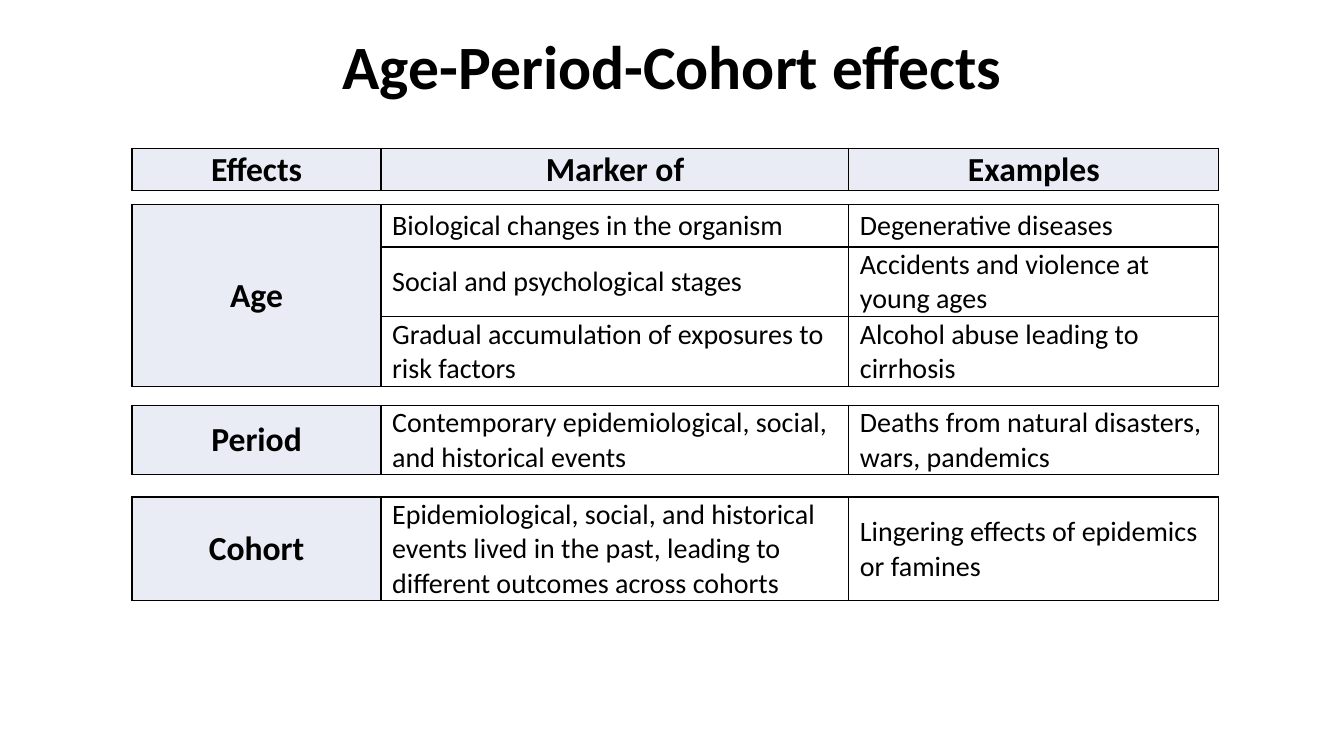
from lxml import etree
from pptx import Presentation
from pptx.dml.color import RGBColor
from pptx.enum.text import MSO_ANCHOR, PP_ALIGN
from pptx.oxml.ns import qn
from pptx.util import Inches, Pt

MIDDLE, BOTTOM = MSO_ANCHOR.MIDDLE, MSO_ANCHOR.BOTTOM
CENTER, LEFT = PP_ALIGN.CENTER, PP_ALIGN.LEFT
COLORS = {"ink": "000000", "label": "E9EBF5", "body": "FFFFFF"}
FONT = "Calibri"
TABLE_LEFT = 1.31
COLUMN_WIDTHS = [2.47, 4.64, 3.67]

# Each block: top, row heights, rows of text (None continues the cell above)
BLOCKS = [
    (1.47, [0.41], [["Effects", "Marker of", "Examples"]]),
    (2.03, [0.42, 0.69, 0.69], [
        ["Age", "Biological changes in the organism", "Degenerative diseases"],
        [None, "Social and psychological stages",
         "Accidents and violence at young ages"],
        [None, "Gradual accumulation of exposures to risk factors",
         "Alcohol abuse leading to cirrhosis"],
    ]),
    (4.02, [0.69], [
        ["Period", "Contemporary epidemiological, social, and historical events",
         "Deaths from natural disasters, wars, pandemics"],
    ]),
    (4.93, [1.03], [
        ["Cohort", "Epidemiological, social, and historical events lived in the "
         "past, leading to different outcomes across cohorts",
         "Lingering effects of epidemics or famines"],
    ]),
]


def add_text(paragraph, text, size, bold):
    run = paragraph.add_run()
    run.text = text
    run.font.name = FONT
    run.font.size = Pt(size)
    run.font.bold = bold
    run.font.color.rgb = RGBColor.from_string(COLORS["ink"])


def add_borders(cell):
    properties = cell._tc.get_or_add_tcPr()
    for side in ("a:lnL", "a:lnR", "a:lnT", "a:lnB"):
        line = etree.SubElement(properties, qn(side), w=str(Pt(1)))
        fill = etree.SubElement(line, qn("a:solidFill"))
        etree.SubElement(fill, qn("a:srgbClr"), val=COLORS["ink"])


presentation = Presentation()
presentation.slide_width = Inches(13.33)
presentation.slide_height = Inches(7.5)
slide = presentation.slides.add_slide(presentation.slide_layouts[5])

# Title
title = slide.shapes.title
title.left, title.top = Inches(2.17), Inches(0.02)
title.width, title.height = Inches(9), Inches(1.25)
title.text_frame.vertical_anchor = MIDDLE
heading = title.text_frame.paragraphs[0]
heading.alignment = CENTER
add_text(heading, "Age-Period-Cohort effects", 44, True)

# Header and one table for each effect
for block_index, (top, heights, rows) in enumerate(BLOCKS):
    is_header = block_index == 0
    effect_table = slide.shapes.add_table(
        len(rows), len(COLUMN_WIDTHS), Inches(TABLE_LEFT), Inches(top),
        Inches(sum(COLUMN_WIDTHS)), Inches(sum(heights))).table
    effect_table.first_row = False
    effect_table.horz_banding = False
    for column, width in zip(effect_table.columns, COLUMN_WIDTHS):
        column.width = Inches(width)
    for row, height in zip(effect_table.rows, heights):
        row.height = Inches(height)
    if len(rows) > 1:
        effect_table.cell(0, 0).merge(effect_table.cell(len(rows) - 1, 0))

    for row_index, texts in enumerate(rows):
        for column_index, text in enumerate(texts):
            is_label = is_header or column_index == 0
            cell = effect_table.cell(row_index, column_index)
            add_borders(cell)
            cell.fill.solid()
            cell.fill.fore_color.rgb = RGBColor.from_string(
                COLORS["label" if is_label else "body"])
            cell.margin_left = cell.margin_right = cell.margin_top = Inches(0.01)
            cell.margin_bottom = 0
            cell.vertical_anchor = BOTTOM if is_header else MIDDLE
            if text is None:
                continue
            paragraph = cell.text_frame.paragraphs[0]
            paragraph.alignment = CENTER if is_label else LEFT
            if not is_label:
                paragraph._p.get_or_add_pPr().set("marL", str(Inches(0.1)))
            add_text(paragraph, text, 24 if is_label else 20, is_label)

presentation.save("out.pptx")
